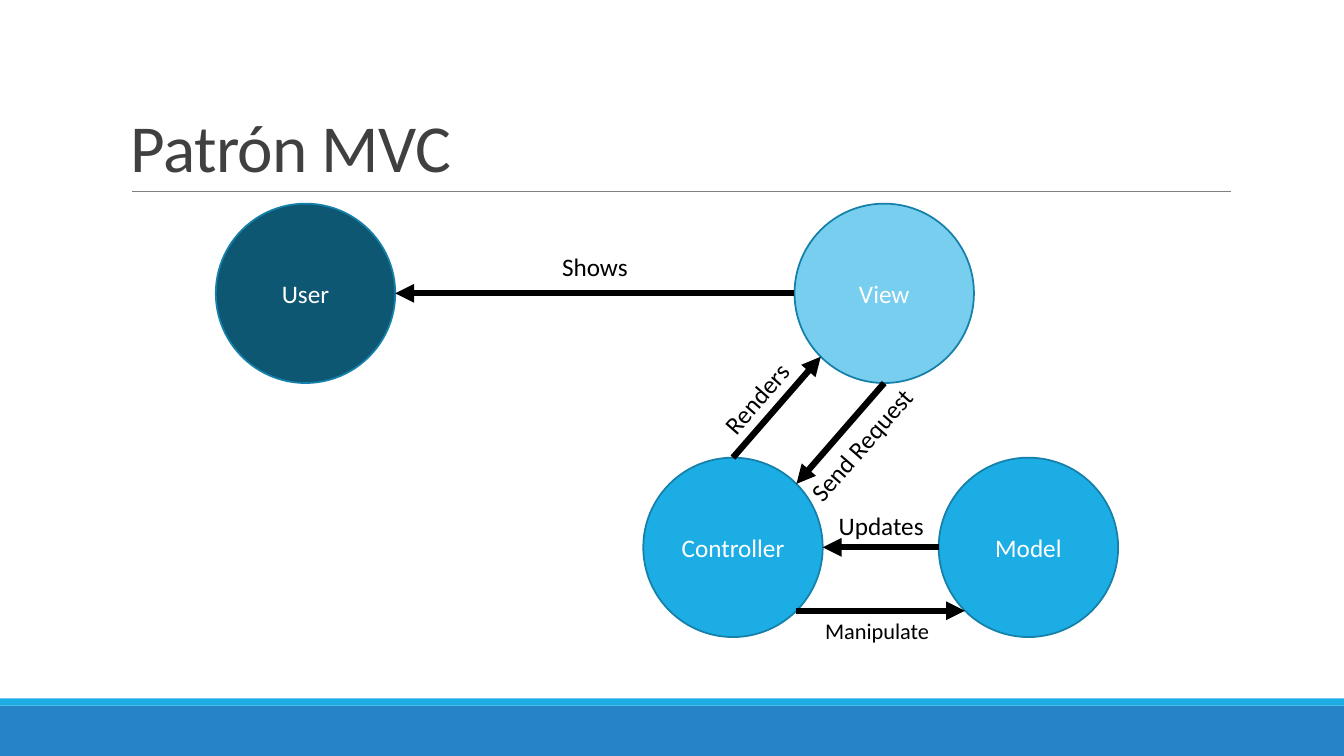
import math

import pptx
import pptx.dml.color
import pptx.enum.shapes
import pptx.enum.text
import pptx.oxml
import pptx.oxml.ns
import pptx.util

Inches = pptx.util.Inches
SHAPES = pptx.enum.shapes.MSO_SHAPE
ALIGN = pptx.enum.text.PP_ALIGN
ANCHOR = pptx.enum.text.MSO_ANCHOR

DIAMETER = 1.78
BLACK, WHITE = "000000", "FFFFFF"

# Role: left, top, fill
ROLES = {
    "Controller": (6.38, 4.54, "1CADE4"),
    "Model": (9.31, 4.54, "1CADE4"),
    "View": (7.88, 2.02, "77CEEF"),
    "User": (2.14, 2.02, "0E5772"),
}

# From role, angle, to role, angle (degrees clockwise from the right)
MESSAGES = [
    ("Controller", 270, "View", 135),
    ("View", 90, "Controller", 315),
    ("Controller", 45, "Model", 135),
    ("Model", 180, "Controller", 0),
    ("View", 180, "User", 0),
]

# Text, left, top, size, rotation
LABELS = [
    ("Send Request", 7.71, 4.21, 18, 311.2),
    ("Renders", 6.67, 3.75, 18, 311.2),
    ("Shows", 5.07, 2.44, 18, 0),
    ("Manipulate", 7.87, 6.07, 16, 0),
    ("Updates", 7.91, 5.01, 18, 0),
]


def color(value):
    return pptx.dml.color.RGBColor.from_string(value)


def apply_format(target, values):
    for name, value in values.items():
        setattr(target, name, value)


def write_text(shape, text, size, ink, align=ALIGN.CENTER, anchor=ANCHOR.MIDDLE):
    apply_format(shape.text_frame, {"word_wrap": True, "vertical_anchor": anchor})
    paragraph = shape.text_frame.paragraphs[0]
    paragraph.alignment = align
    run = paragraph.add_run()
    run.text = text
    apply_format(run.font, {"name": "Calibri", "size": pptx.util.Pt(size)})
    run.font.color.rgb = color(ink)
    return paragraph, run


def add_filled(slide, preset, box, fill, outline=None):
    shape = slide.shapes.add_shape(preset, *map(Inches, box))
    shape.shadow.inherit = False
    shape.fill.solid()
    shape.fill.fore_color.rgb = color(fill)
    if outline:
        shape.line.color.rgb = color(outline)
        shape.line.width = pptx.util.Pt(1.25)
    else:
        shape.line.fill.background()
    return shape


def add_line(slide, start, end, ink, width, arrow=False):
    line = slide.shapes.add_connector(
        pptx.enum.shapes.MSO_CONNECTOR.STRAIGHT, *map(Inches, (*start, *end)))
    line.line.color.rgb = color(ink)
    line.line.width = pptx.util.Pt(width)
    if arrow:
        head = pptx.oxml.parse_xml(
            f'<a:tailEnd {pptx.oxml.ns.nsdecls("a")} type="triangle"/>')
        line.line._get_or_add_ln().append(head)
    line._element.spPr.append(
        pptx.oxml.parse_xml(f'<a:effectLst {pptx.oxml.ns.nsdecls("a")}/>'))


def add_title(slide, text):
    title = slide.shapes.add_textbox(*map(Inches, (1.2, 0.31, 11, 1.59)))
    paragraph, run = write_text(title, text, 48, "404040", ALIGN.LEFT, ANCHOR.BOTTOM)
    paragraph.line_spacing = 0.85
    run.font._element.set("spc", "-50")


def add_role(slide, name):
    left, top, fill = ROLES[name]
    circle = add_filled(slide, SHAPES.OVAL, (left, top, DIAMETER, DIAMETER), fill, "1580A9")
    write_text(circle, name, 18, WHITE)


def rim_point(name, angle):
    left, top, _ = ROLES[name]
    radius = DIAMETER / 2
    turn = math.radians(angle)
    return (left + radius * (1 + math.cos(turn)), top + radius * (1 + math.sin(turn)))


def add_label(slide, text, left, top, size, rotation):
    label = slide.shapes.add_textbox(*map(Inches, (left, top, 1.66, 0.4)))
    label.rotation = rotation
    write_text(label, text, size, BLACK, anchor=ANCHOR.TOP)


def main():
    deck = pptx.Presentation()
    apply_format(deck, {"slide_width": Inches(13.33), "slide_height": Inches(7.5)})
    slide = deck.slides.add_slide(deck.slide_layouts[6])

    # Footer bands, title and its rule
    add_filled(slide, SHAPES.RECTANGLE, (0, 7, 13.33, 0.5), "2683C6")
    add_filled(slide, SHAPES.RECTANGLE, (0, 6.93, 13.33, 0.07), "1CADE4")
    add_line(slide, (1.31, 1.9), (12.21, 1.9), "808080", 0.5)
    add_title(slide, "Patrón MVC")

    # Roles and the messages between them
    for name in ROLES:
        add_role(slide, name)
    for sender, exit_angle, receiver, entry_angle in MESSAGES:
        add_line(slide, rim_point(sender, exit_angle), rim_point(receiver, entry_angle),
                 BLACK, 4.5, arrow=True)
    for label in LABELS:
        add_label(slide, *label)

    deck.save("out.pptx")


main()
